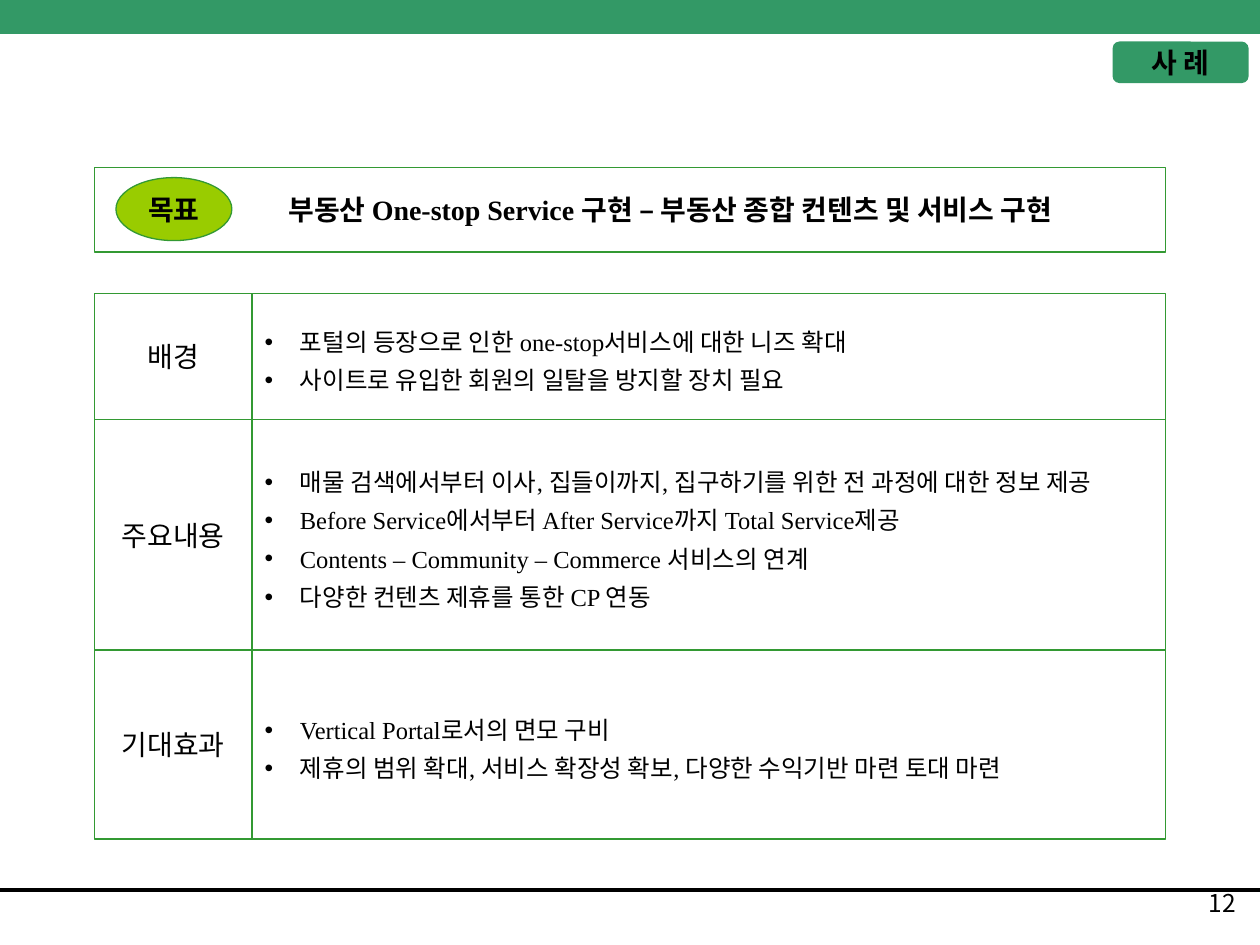
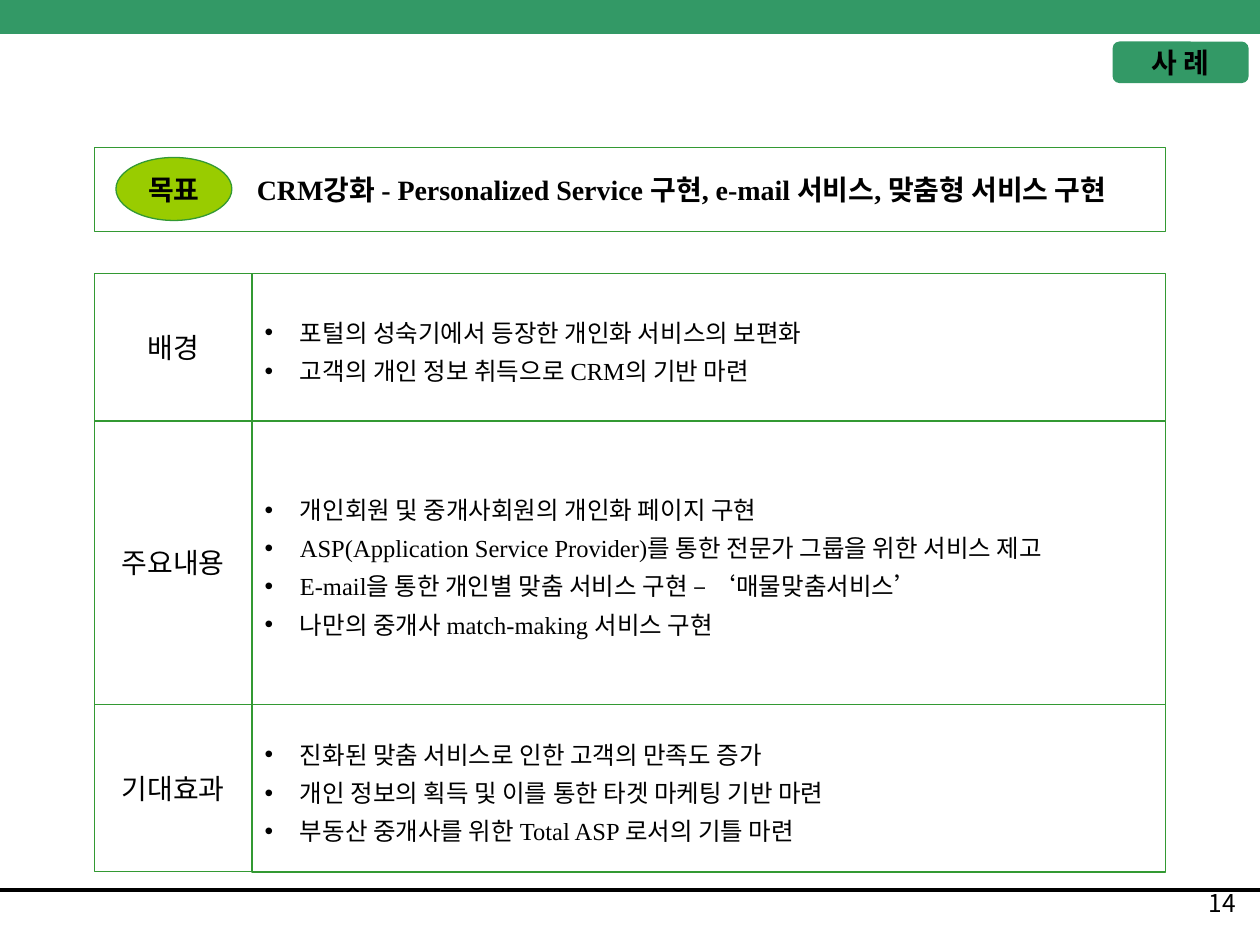
from dataclasses import dataclass

from lxml import etree
from pptx import Presentation
from pptx.dml.color import RGBColor
from pptx.enum import shapes, text
from pptx.oxml import ns
from pptx.util import Inches, Pt


@dataclass(frozen=True)
class Theme:
    band: str = "339966"
    border: str = "339933"
    badge: str = "99CC00"
    paper: str = "FFFFFF"
    ink: str = "000000"
    serif: str = "Times New Roman"
    sans: str = "Noto Sans CJK KR"
    heading_size: int = 16
    list_size: int = 14
    border_width: float = 0.75
    rule_width: float = 2.25
    list_spacing: float = 1.3
    bullet_indent: float = 0.28


THEME = Theme()
SLIDE_WIDTH, SLIDE_HEIGHT = 10, 7.5
LEFT, CONTENT_WIDTH, LABEL_WIDTH = 0.75, 8.5, 1.25
GOAL_HEIGHT, GOAL_TO_GRID = 0.67, 1
LABELS = ["배경", "주요내용", "기대효과"]

CASES = [
    dict(
        page="12",
        top=1.33,
        goal="부동산 One-stop Service 구현 – 부동산 종합 컨텐츠 및 서비스 구현",
        goal_inset=0.74,
        row_heights=[1, 1.83, 1.5],
        lists=[
            ["포털의 등장으로 인한 one-stop서비스에 대한 니즈 확대",
             "사이트로 유입한 회원의 일탈을 방지할 장치 필요"],
            ["매물 검색에서부터 이사, 집들이까지, 집구하기를 위한 전 과정에 대한 정보 제공",
             "Before Service에서부터 After Service까지 Total Service제공",
             "Contents – Community – Commerce 서비스의 연계",
             "다양한 컨텐츠 제휴를 통한 CP 연동"],
            ["Vertical Portal로서의 면모 구비",
             "제휴의 범위 확대, 서비스 확장성 확보, 다양한 수익기반 마련 토대 마련"],
        ],
    ),
    dict(
        page="14",
        top=1.17,
        goal="CRM강화 - Personalized Service 구현, e-mail 서비스, 맞춤형 서비스 구현",
        goal_inset=0.92,
        row_heights=[1.17, 2.25, 1.33],
        lists=[
            ["포털의 성숙기에서 등장한 개인화 서비스의 보편화",
             "고객의 개인 정보 취득으로 CRM의 기반 마련"],
            ["개인회원 및 중개사회원의 개인화 페이지 구현",
             "ASP(Application Service Provider)를 통한 전문가 그룹을 위한 서비스 제고",
             "E-mail을 통한 개인별 맞춤 서비스 구현 – ‘매물맞춤서비스’",
             "나만의 중개사 match-making 서비스 구현"],
            ["진화된 맞춤 서비스로 인한 고객의 만족도 증가",
             "개인 정보의 획득 및 이를 통한 타겟 마케팅 기반 마련",
             "부동산 중개사를 위한 Total ASP 로서의 기틀 마련"],
        ],
    ),
]


def add_bullet(paragraph):
    properties = paragraph._p.get_or_add_pPr()
    indent = Inches(THEME.bullet_indent)
    properties.set("marL", str(indent))
    properties.set("indent", str(-indent))
    etree.SubElement(properties, ns.qn("a:buChar")).set("char", "•")


def write(holder, lines, *, size=THEME.heading_size, font=THEME.serif, bold=False,
          align=text.PP_ALIGN.CENTER, anchor=text.MSO_ANCHOR.MIDDLE,
          spacing=1.0, bullets=False, wrap=True, inset=0.1):
    frame = holder.text_frame
    frame.auto_size = text.MSO_AUTO_SIZE.NONE
    frame.word_wrap = wrap
    frame.vertical_anchor = anchor
    frame.margin_left = Inches(inset)
    for index, line in enumerate(lines):
        paragraph = frame.paragraphs[0] if index == 0 else frame.add_paragraph()
        paragraph.alignment = align
        paragraph.line_spacing = spacing
        paragraph.space_before = Pt(0)
        if bullets:
            add_bullet(paragraph)
        run = paragraph.add_run()
        run.text = line
        run.font.name = font
        run.font.size = Pt(size)
        run.font.bold = bold
        run.font.color.rgb = RGBColor.from_string(THEME.ink)
        east_asian = etree.SubElement(run._r.get_or_add_rPr(), ns.qn("a:ea"))
        east_asian.set("typeface", THEME.sans)


def paint(shape, fill=None, border=None):
    if fill:
        shape.fill.solid()
        shape.fill.fore_color.rgb = RGBColor.from_string(fill)
    else:
        shape.fill.background()
    if border:
        shape.line.color.rgb = RGBColor.from_string(border)
        shape.line.width = Pt(THEME.border_width)
    else:
        shape.line.fill.background()


def place(placeholder, left, top, width, height):
    placeholder.left, placeholder.top = Inches(left), Inches(top)
    placeholder.width, placeholder.height = Inches(width), Inches(height)


def add_box(slide, kind, left, top, width, height, fill=None, border=None):
    box = slide.shapes.add_shape(kind, *map(Inches, (left, top, width, height)))
    box.shadow.inherit = False
    paint(box, fill, border)
    return box


def add_frame(slide, page):
    add_box(slide, shapes.MSO_SHAPE.RECTANGLE, 0, 0, SLIDE_WIDTH, 0.27, THEME.band)
    rule = slide.shapes.add_connector(
        shapes.MSO_CONNECTOR.STRAIGHT,
        *map(Inches, (0, 7.06, SLIDE_WIDTH, 7.06)))
    rule.line.color.rgb = RGBColor.from_string(THEME.ink)
    rule.line.width = Pt(THEME.rule_width)
    etree.SubElement(rule._element.spPr, ns.qn("a:effectLst"))
    page_number = slide.shapes.add_textbox(*map(Inches, (7.83, 7, 2.08, 0.5)))
    write(page_number, [page], size=THEME.list_size, font=THEME.sans,
          align=text.PP_ALIGN.RIGHT, anchor=text.MSO_ANCHOR.TOP)
    case_tag = add_box(slide, shapes.MSO_SHAPE.ROUNDED_RECTANGLE,
                       8.83, 0.33, 1.08, 0.33, THEME.band)
    write(case_tag, ["사 례"], font=THEME.sans, bold=True, wrap=False)


def add_goal(slide, left, top, width, height, goal, inset):
    headline = slide.shapes.title
    place(headline, left, top, width, height)
    paint(headline, border=THEME.border)
    write(headline, [goal], bold=True, inset=inset)
    badge = add_box(slide, shapes.MSO_SHAPE.OVAL, left + 0.17, top + 0.08,
                    0.92, 0.5, THEME.badge, THEME.border)
    write(badge, ["목표"], bold=True, wrap=False)


def add_row(slide, left, top, width, height, label, items, body):
    label_cell = add_box(slide, shapes.MSO_SHAPE.RECTANGLE, left, top,
                         LABEL_WIDTH, height, THEME.paper, THEME.border)
    write(label_cell, [label], wrap=False)
    place(body, left + LABEL_WIDTH, top, width - LABEL_WIDTH, height)
    paint(body, THEME.paper, THEME.border)
    write(body, items, size=THEME.list_size, align=text.PP_ALIGN.LEFT,
          spacing=THEME.list_spacing, bullets=True)


def add_case(deck, page, top, goal, goal_inset, row_heights, lists):
    slide = deck.slides.add_slide(deck.slide_layouts.get_by_name("Comparison"))
    _, *bodies = slide.placeholders
    for spare in bodies[len(lists):]:
        spare._element.getparent().remove(spare._element)
    add_frame(slide, page)
    add_goal(slide, LEFT, top, CONTENT_WIDTH, GOAL_HEIGHT, goal, goal_inset)
    row_top = top + GOAL_TO_GRID
    for label, height, items, body in zip(LABELS, row_heights, lists, bodies):
        add_row(slide, LEFT, row_top, CONTENT_WIDTH, height, label, items, body)
        row_top += height


def main():
    deck = Presentation()
    deck.slide_width, deck.slide_height = Inches(SLIDE_WIDTH), Inches(SLIDE_HEIGHT)
    for case in CASES:
        add_case(deck, **case)
    deck.save("out.pptx")


if __name__ == "__main__":
    main()
